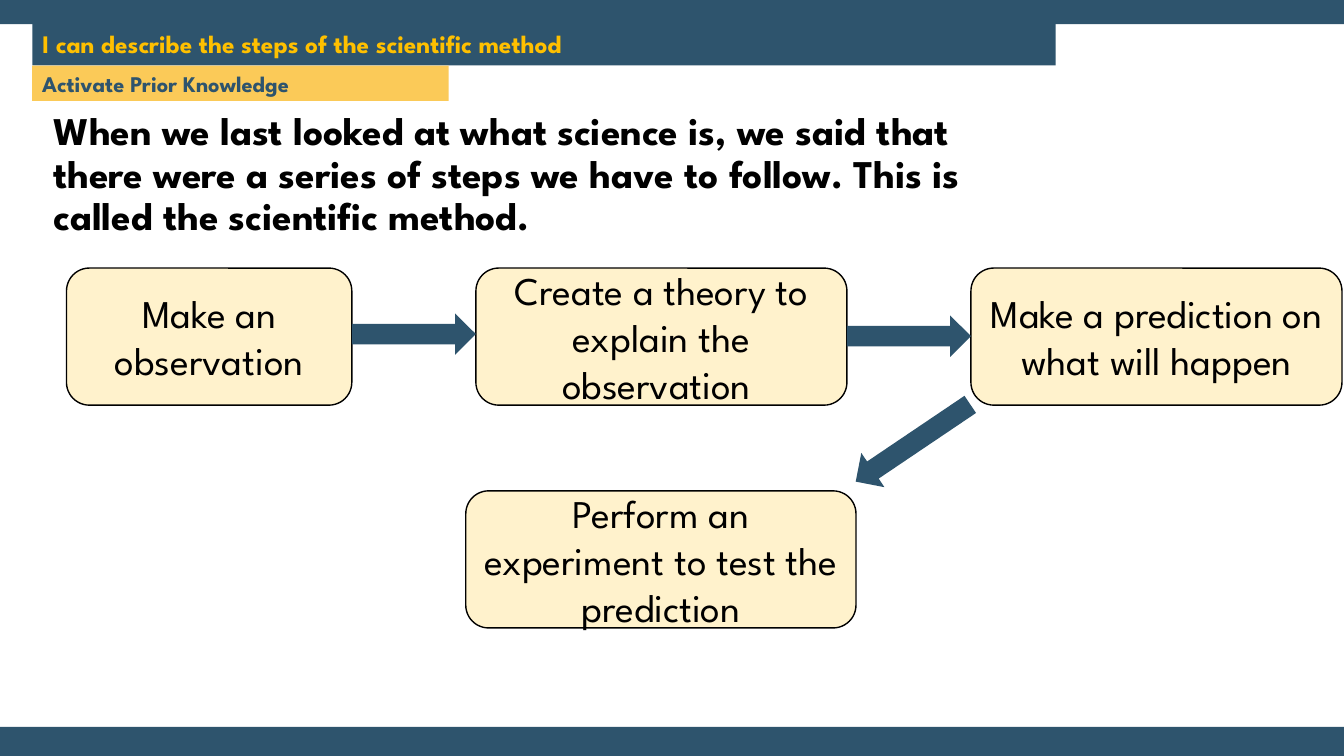
import pptx
import pptx.dml.color
import pptx.enum.shapes
import pptx.enum.text
import pptx.oxml.ns
import pptx.util
from lxml import etree

COLOURS = {
    "navy": "2E546D",
    "yellow": "FBCA58",
    "gold": "FFC000",
    "cream": "FFF2CC",
    "black": "000000",
}
EMU_PER_PX = 9144
WIDTH, HEIGHT = 1333, 750
STEP_HEIGHT, ARROW_HEIGHT = 136, 41
TOP_ROW = 266


class SlideBuilder:
    """Holds the style and the current slide, and draws each kind of element in px."""

    font_name = "League Spartan"

    def __init__(self, presentation):
        self.presentation = presentation
        presentation.slide_width = self.px(WIDTH)
        presentation.slide_height = self.px(HEIGHT)
        self.slide = presentation.slides.add_slide(presentation.slide_layouts[1])

    def px(self, length):
        return pptx.util.Emu(length * EMU_PER_PX)

    def colour(self, name):
        return pptx.dml.color.RGBColor.from_string(COLOURS[name])

    def set_text(self, shape, text, size, colour, bold=True, centred=False, middle=True):
        frame = shape.text_frame
        frame.text = text
        frame.word_wrap = True
        frame.auto_size = pptx.enum.text.MSO_AUTO_SIZE.NONE
        anchors = pptx.enum.text.MSO_ANCHOR
        frame.vertical_anchor = anchors.MIDDLE if middle else anchors.TOP
        paragraph = frame.paragraphs[0]
        alignments = pptx.enum.text.PP_ALIGN
        paragraph.alignment = alignments.CENTER if centred else alignments.LEFT
        font = paragraph.runs[0].font
        font.name = self.font_name
        font.size = pptx.util.Pt(size)
        font.bold = bold
        font.color.rgb = self.colour(colour)
        return paragraph

    def shape(self, kind, box, fill, outline=None):
        shape = self.slide.shapes.add_shape(kind, *map(self.px, box))
        shape.shadow.inherit = False
        shape.fill.solid()
        shape.fill.fore_color.rgb = self.colour(fill)
        if outline:
            shape.line.color.rgb = self.colour(outline)
            shape.line.width = pptx.util.Pt(1)
        else:
            shape.line.fill.background()
        return shape

    def bar(self, box, fill):
        return self.shape(pptx.enum.shapes.MSO_SHAPE.RECTANGLE, box, fill)

    def placeholder(self, shape, box, text, size, colour, fill=None, middle=True):
        shape.left, shape.top, shape.width, shape.height = map(self.px, box)
        if fill:
            shape.fill.solid()
            shape.fill.fore_color.rgb = self.colour(fill)
        paragraph = self.set_text(shape, text, size, colour, middle=middle)
        properties = paragraph._p.get_or_add_pPr()
        properties.set("marL", "0")
        properties.set("indent", "0")
        etree.SubElement(properties, pptx.oxml.ns.qn("a:buNone"))
        paragraph.line_spacing = 0.9
        paragraph.space_before = pptx.util.Pt(0)

    def step(self, left, top, width, text):
        kind = pptx.enum.shapes.MSO_SHAPE.ROUNDED_RECTANGLE
        shape = self.shape(kind, (left, top, width, STEP_HEIGHT), "cream", "black")
        self.set_text(shape, text, 28, "black", bold=False, centred=True)

    def arrow(self, left, top, width, rotation=0):
        kind = pptx.enum.shapes.MSO_SHAPE.RIGHT_ARROW
        shape = self.shape(kind, (left, top, width, ARROW_HEIGHT), "navy")
        shape.rotation = rotation


def main():
    presentation = pptx.Presentation()
    builder = SlideBuilder(presentation)
    title, body = builder.slide.placeholders

    for top, height in ((0, 24), (721, 29)):
        builder.bar((0, top, WIDTH, height), "navy")
    label = builder.bar((32, 65, 413, 35), "yellow")
    builder.set_text(label, "Activate Prior Knowledge", 16, "navy")

    builder.placeholder(
        title, (32, 24, 1015, 41),
        "I can describe the steps of the scientific method",
        18, "gold", fill="navy",
    )
    builder.placeholder(
        body, (43, 106, 994, 336),
        "When we last looked at what science is, we said that there were a series of "
        "steps we have to follow. This is called the scientific method.",
        28, "black", middle=False,
    )

    steps = (
        (66, TOP_ROW, 283, "Make an observation"),
        (472, TOP_ROW, 368, "Create a theory to explain the observation "),
        (963, TOP_ROW, 368, "Make a prediction on what will happen"),
        (462, 487, 387, "Perform an experiment to test the prediction"),
    )
    for step in steps:
        builder.step(*step)

    builder.arrow(349, 311, 123)
    builder.arrow(840, 313, 123)
    builder.arrow(837, 419, 137, rotation=146)

    presentation.save("out.pptx")


if __name__ == "__main__":
    main()
